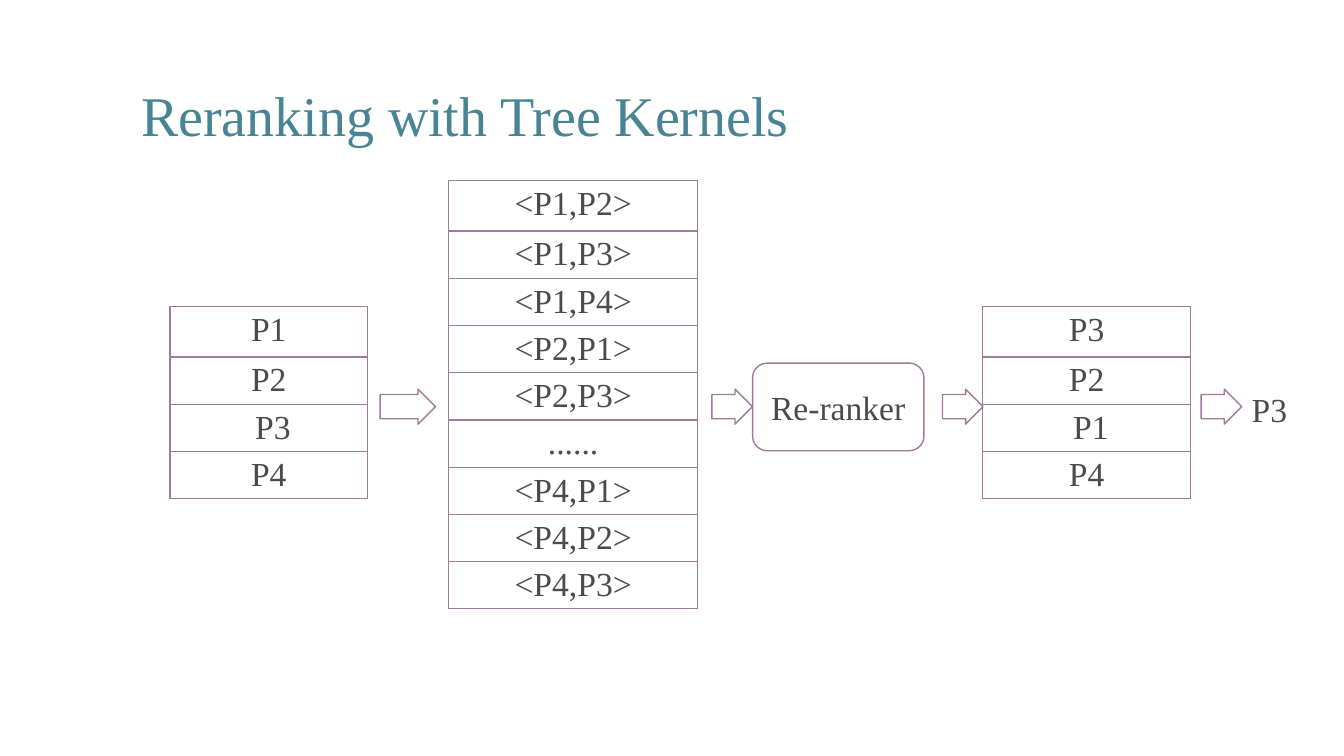
from lxml import etree
from pptx import Presentation
from pptx import util as u
from pptx.dml import color
from pptx.enum import shapes, text
from pptx.oxml import ns

COLOURS = {"title": "488493", "ink": "4B4B4B", "edge": "9E7A9B", "paper": "FFFFFF"}
FIRST_ROW, NEXT_ROW = 36, 33.75
ARROW_TOP, ARROW_HEIGHT = 278, 25


def rgb(name):
    return color.RGBColor.from_string(COLOURS[name])


def apply(target, values):
    for name, value in values.items():
        setattr(target, name, value)


class RankingSlide:
    font = "Times New Roman"
    body_size = 24

    def __init__(self, deck):
        self.slide = deck.slides.add_slide(deck.slide_layouts[5])

    def set_words(self, frame, words, size=body_size, ink="ink", frame_format=None,
                  **paragraph_format):
        apply(frame, {"word_wrap": True, **(frame_format or {})})
        paragraph = frame.paragraphs[0]
        apply(paragraph, paragraph_format)
        run = paragraph.add_run()
        run.text = words
        apply(run.font, {"name": self.font, "size": u.Pt(size)})
        run.font.color.rgb = rgb(ink)

    def title(self, words, left, top, width, height):
        heading = self.slide.shapes.title
        apply(heading, {"left": u.Pt(left), "top": u.Pt(top),
                        "width": u.Pt(width), "height": u.Pt(height)})
        self.set_words(heading.text_frame, words, 40, "title",
                       {"auto_size": text.MSO_AUTO_SIZE.NONE,
                        "vertical_anchor": text.MSO_ANCHOR.MIDDLE},
                       alignment=text.PP_ALIGN.LEFT, line_spacing=0.9)

    def border(self, cell):
        properties = cell._tc.get_or_add_tcPr()
        for place, side in enumerate(("lnL", "lnR", "lnT", "lnB")):
            line = etree.Element(ns.qn("a:" + side), w=str(u.Pt(1)))
            fill = etree.SubElement(line, ns.qn("a:solidFill"))
            etree.SubElement(fill, ns.qn("a:srgbClr"), val=COLOURS["edge"])
            properties.insert(place, line)

    def ranking(self, entries, left, top, width):
        height = FIRST_ROW + NEXT_ROW * (len(entries) - 1)
        table = self.slide.shapes.add_table(
            len(entries), 1, u.Pt(left), u.Pt(top), u.Pt(width), u.Pt(height)).table
        apply(table, {"first_row": False, "horz_banding": False})
        for index, entry in enumerate(entries):
            table.rows[index].height = u.Pt(NEXT_ROW if index else FIRST_ROW)
            cell = table.cell(index, 0)
            apply(cell, {"margin_top": u.Pt(3.6), "margin_bottom": u.Pt(2)})
            cell.fill.solid()
            cell.fill.fore_color.rgb = rgb("paper")
            self.border(cell)
            self.set_words(cell.text_frame, entry, alignment=text.PP_ALIGN.CENTER)

    def outlined(self, kind, left, top, width, height):
        shape = self.slide.shapes.add_shape(
            kind, u.Pt(left), u.Pt(top), u.Pt(width), u.Pt(height))
        shape.shadow.inherit = False
        shape.fill.solid()
        shape.fill.fore_color.rgb = rgb("paper")
        shape.line.color.rgb = rgb("edge")
        shape.line.width = u.Pt(1)
        return shape

    def arrow(self, left, width):
        step = self.outlined(shapes.MSO_SHAPE.RIGHT_ARROW, left, ARROW_TOP, width, ARROW_HEIGHT)
        step.adjustments[0] = 0.69

    def stage(self, words, left, top, width, height):
        box = self.outlined(shapes.MSO_SHAPE.ROUNDED_RECTANGLE, left, top, width, height)
        self.set_words(box.text_frame, words,
                       frame_format={"vertical_anchor": text.MSO_ANCHOR.MIDDLE},
                       alignment=text.PP_ALIGN.CENTER)

    def label(self, words, left, top, width, height):
        box = self.slide.shapes.add_textbox(u.Pt(left), u.Pt(top), u.Pt(width), u.Pt(height))
        self.set_words(box.text_frame, words)


def main():
    deck = Presentation()
    apply(deck, {"slide_width": u.Pt(960), "slide_height": u.Pt(540)})
    page = RankingSlide(deck)
    page.title("Reranking with Tree Kernels", 93.6, 49, 772.6, 70.5)

    # Candidates, their pairs, and the new order
    page.ranking(["P1", "P2", " P3", "P4"], 121.5, 219, 141)
    page.ranking(["<P1,P2>", "<P1,P3>", "<P1,P4>", "<P2,P1>", "<P2,P3>",
                  "......", "<P4,P1>", "<P4,P2>", "<P4,P3>"], 320.4, 129, 178)
    page.ranking(["P3", "P2", " P1", "P4"], 702, 219, 148.5)

    # Flow between the steps
    for left, width in ((271.5, 39.6), (508.5, 29), (673.2, 29), (858, 29)):
        page.arrow(left, width)

    # Re-ranker and its best candidate
    page.stage("Re-ranker", 537.6, 259.4, 122.4, 62.6)
    page.label("P3", 887, 274.5, 70, 36)
    deck.save("out.pptx")


if __name__ == "__main__":
    main()
